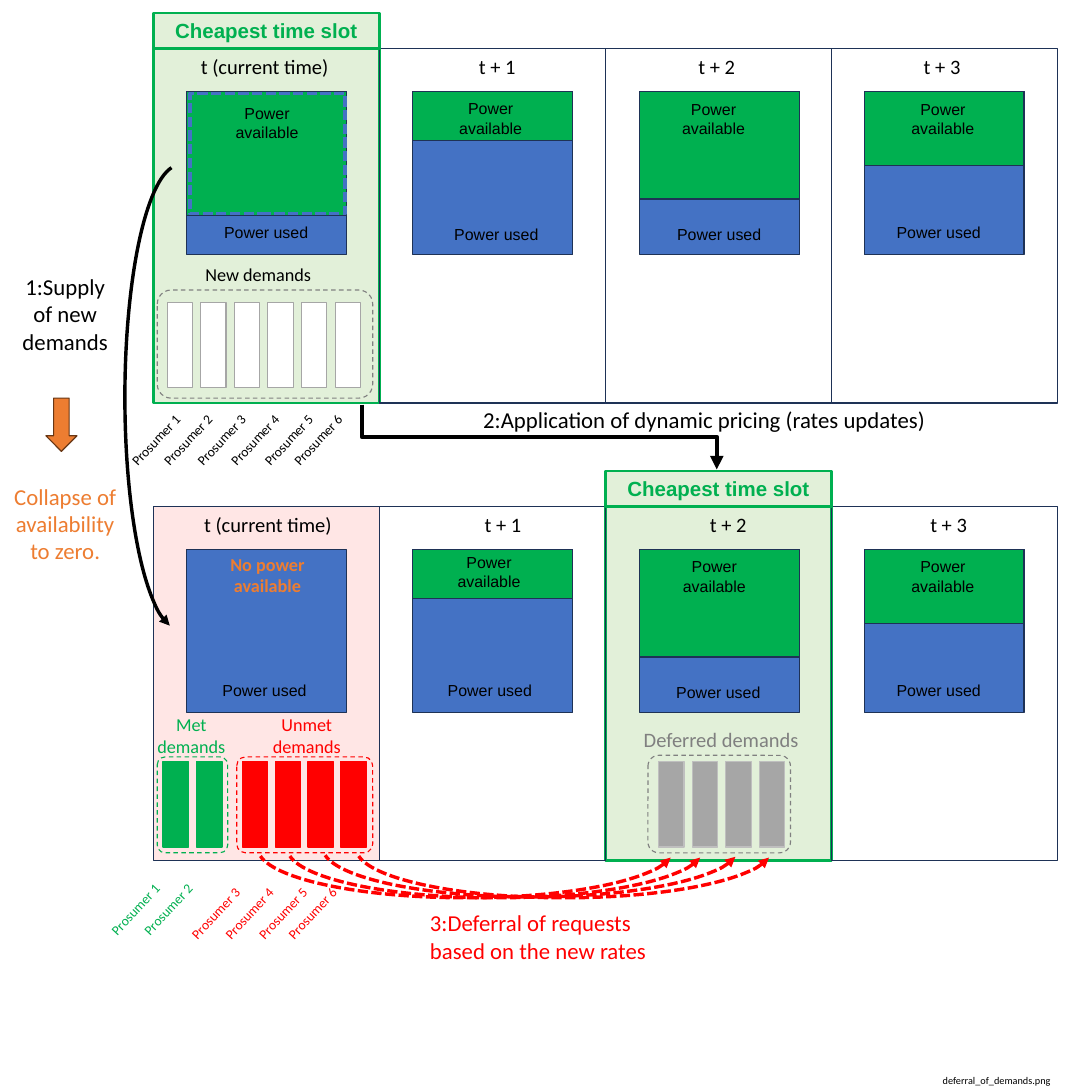
from lxml import etree
from pptx import Presentation
from pptx.dml.color import RGBColor
from pptx.enum.dml import MSO_LINE as DASH
from pptx.enum.shapes import MSO_CONNECTOR as CONN, MSO_SHAPE as SHAPE
from pptx.enum.text import MSO_ANCHOR, MSO_AUTO_SIZE as AUTO, PP_ALIGN as ALIGN
from pptx.oxml.ns import qn
from pptx.util import Inches, Pt

# Content
BLACK, NAVY, BLUE, GREEN, RED = "000000", "1E3256", "4472C4", "00B050", "FF0000"
ORANGE, WHITE, GREY, PALE_GREEN, PINK = "ED7D31", "FFFFFF", "808080", "E2F0D9", "FFE6E5"
TIMES = ["t (current time)", "t + 1", "t + 2", "t + 3"]
COL_X, COL_W, ROW_H = 1.87, 2.76, 4.33
BOX_X, BOX_W, BOX_H = [2.28, 5.04, 7.81, 10.55], 1.95, 1.99
ROWS = [
    {"y": 0.59, "label_y": 0.61, "fills": {0: PALE_GREEN}, "cheapest": 0,
     "available": [1.51, 0.6, 1.31, 0.9],
     "time_mid": [3.23, 6.07, 8.75, 11.5],
     "available_at": [(2.54, 1.21), (5.27, 1.16), (7.99, 1.17), (10.79, 1.17)],
     "used_at": [(2.53, 2.67), (5.34, 2.69), (8.06, 2.69), (10.74, 2.67)]},
    {"y": 6.18, "label_y": 6.2, "fills": {0: PINK, 2: PALE_GREEN}, "cheapest": 2,
     "available": [0, 0.6, 1.31, 0.9],
     "time_mid": [3.27, 6.14, 8.89, 11.58],
     "available_at": [None, (5.25, 6.7), (8, 6.75), (10.79, 6.75)],
     "used_at": [(2.51, 8.26), (5.26, 8.26), (8.05, 8.28), (10.74, 8.26)]},
]
# left of first bar, top, step, count, fill, line
BARS = [(2.04, 3.69, 0.41, 6, WHITE, "A6A6A6"), (1.99, 9.3, 0.41, 2, GREEN, GREEN),
        (2.96, 9.3, 0.4, 4, RED, RED), (8.04, 9.3, 0.41, 4, "A6A6A6", "BFBFBF")]
# box, corner, line
GROUPS = [((1.92, 3.54, 2.63, 1.32), 0.129, GREY), ((1.92, 9.24, 0.86, 1.17), 0.11, GREEN),
          ((2.89, 9.24, 1.66, 1.17), 0.091, RED), ((7.91, 9.22, 1.74, 1.19), 0.111, GREY)]
# first prosumer, lefts, top, colour
PROSUMERS = [(1, [1.39, 1.78, 2.19, 2.6, 3.01, 3.37], 5.22, BLACK),
             (1, [1.14, 1.54], 10.95, GREEN),
             (3, [2.12, 2.53, 2.94, 3.3], 11, RED)]
DEFERRALS = [(3.94, 9.75), (4.35, 9.76), (3.51, 9.76), (3.15, 9.76)]
# text, box, size, colour, alignment, bold
NOTES = [
    ("New demands", (2.41, 3.16, 1.59, 0.37), 16, BLACK, ALIGN.LEFT, False),
    ("Met demands", (1.74, 8.66, 1.19, 0.64), 16, GREEN, ALIGN.CENTER, False),
    ("Unmet demands", (3.11, 8.66, 1.27, 0.64), 16, RED, ALIGN.CENTER, False),
    ("Deferred demands", (7.76, 8.82, 2.2, 0.4), 18, GREY, ALIGN.LEFT, False),
    ("No power available", (2.63, 6.7, 1.27, 0.64), 16, ORANGE, ALIGN.CENTER, True),
    ("1:Supply of new demands", (0.07, 3.28, 1.45, 1.11), 20, BLACK, ALIGN.CENTER, False),
    ("Collapse of availability to zero.", (0.02, 5.84, 1.55, 1.11), 20, ORANGE,
     ALIGN.CENTER, False),
    ("2:Application of dynamic pricing (rates updates)", (5.8, 4.91, 6.1, 0.44), 20, BLACK,
     ALIGN.LEFT, False),
    ("3:Deferral of requests based on the new rates", (5.15, 11.05, 3.19, 0.77), 20, RED,
     ALIGN.LEFT, False),
    ("deferral_of_demands.png", (11.41, 13.07, 1.74, 0.26), 9, BLACK, ALIGN.LEFT, False),
]

prs = Presentation()
prs.slide_width = prs.slide_height = Inches(13.33)
s = prs.slides.add_slide(prs.slide_layouts[6])


def rgb(color):
    return RGBColor.from_string(color)


def draw(kind, box, fill=None, line=NAVY, width=1, dash=None):
    sp = s.shapes.add_shape(kind, *map(Inches, box))
    sp.shadow.inherit = False
    if fill:
        sp.fill.solid()
        sp.fill.fore_color.rgb = rgb(fill)
    else:
        sp.fill.background()
    sp.line.color.rgb = rgb(line)
    sp.line.width = Pt(width)
    if dash:
        sp.line.dash_style = dash
    return sp


def put_text(sp, text, size, color, font, align=ALIGN.CENTER, bold=False):
    p = sp.text_frame.paragraphs[0]
    p.text, p.alignment = text, align
    p.font.size, p.font.name, p.font.bold = Pt(size), font, bold
    p.font.color.rgb = rgb(color)


def label(text, box, size, color=BLACK, align=ALIGN.CENTER, bold=False, font="Calibri",
          wrap=True):
    sp = s.shapes.add_textbox(*map(Inches, box))
    tf = sp.text_frame
    tf.word_wrap, tf.auto_size = wrap, AUTO.SHAPE_TO_FIT_TEXT
    put_text(sp, text, size, color, font, align, bold)
    return sp


def arrowhead(shape, end):
    etree.SubElement(shape.line._get_or_add_ln(), qn(f"a:{end}"), type="triangle")


def curve(box, color, dash=None, rotation=0):
    sp = draw(SHAPE.ARC, box, line=color, width=3, dash=dash)
    sp.adjustments[0], sp.adjustments[1] = 109.504, 214.762
    sp.rotation = rotation
    for flip in ("flipH", "flipV"):
        sp._element.spPr.find(qn("a:xfrm")).set(flip, "1")
    arrowhead(sp, "headEnd")


# Time slots: shaded panels, power boxes, open panels, labels
for row in ROWS:
    panels = [(COL_X + COL_W * i, row["y"], COL_W, ROW_H) for i in range(4)]
    for i, fill in row["fills"].items():
        cheapest = i == row["cheapest"]
        draw(SHAPE.RECTANGLE, panels[i], fill, GREEN if cheapest else NAVY,
             2.5 if cheapest else 1)
    for x, height in zip(BOX_X, row["available"]):
        draw(SHAPE.RECTANGLE, (x, row["y"] + 0.53, BOX_W, BOX_H), BLUE)
        if height:
            draw(SHAPE.RECTANGLE, (x, row["y"] + 0.53, BOX_W, height), GREEN)
    for i, panel in enumerate(panels):
        if i not in row["fills"]:
            draw(SHAPE.RECTANGLE, panel)
    for time, mid in zip(TIMES, row["time_mid"]):
        label(time, (mid - 1.18, row["label_y"], 2.36, 0.4), 18)
    for at in filter(None, row["available_at"]):
        label("Power available", (*at, 1.44, 0.57), 14, font="Arial")
    for at in row["used_at"]:
        label("Power used", (*at, 1.44, 0.34), 14, font="Arial")
    banner = draw(SHAPE.RECTANGLE, (panels[row["cheapest"]][0], row["y"] - 0.43, COL_W, 0.43),
                  PALE_GREEN, GREEN, 2.5)
    banner.text_frame.vertical_anchor = MSO_ANCHOR.MIDDLE
    put_text(banner, "Cheapest time slot", 18, GREEN, "Arial", bold=True)

draw(SHAPE.RECTANGLE, (2.32, 1.14, 1.89, 1.47), line=BLUE, width=3, dash=DASH.SQUARE_DOT)

# Demands of the prosumers
for x, y, step, count, fill, line in BARS:
    for i in range(count):
        draw(SHAPE.RECTANGLE, (x + step * i, y, 0.31, 1.04), fill, line)
for box, corner, line in GROUPS:
    draw(SHAPE.ROUNDED_RECTANGLE, box, line=line, dash=DASH.DASH).adjustments[0] = corner
for first, lefts, y, color in PROSUMERS:
    for number, x in enumerate(lefts, first):
        label(f"Prosumer {number}", (x, y, 1.02, 0.3), 12, color, wrap=False).rotation = 312.9

# Arrows
for x, y in DEFERRALS:
    curve((x, y, 5.08, 1.2), RED, DASH.SQUARE_DOT)
curve((-0.64, 4.18, 5.67, 1.34), BLACK, rotation=90)
draw(SHAPE.DOWN_ARROW, (0.56, 4.86, 0.38, 0.65), ORANGE, "683715")

pricing = s.shapes.add_connector(CONN.ELBOW, *map(Inches, (6.98, 3.17, 6.19, 7.5)))
pricing._element.spPr.find(qn("a:xfrm")).set("rot", "16200000")
pricing.line.color.rgb = rgb(BLACK)
pricing.line.width = Pt(4)
arrowhead(pricing, "tailEnd")
etree.SubElement(pricing._element.spPr, qn("a:effectLst"))

# Notes
for text, box, size, color, align, bold in NOTES:
    label(text, box, size, color, align, bold)

prs.save("out.pptx")
